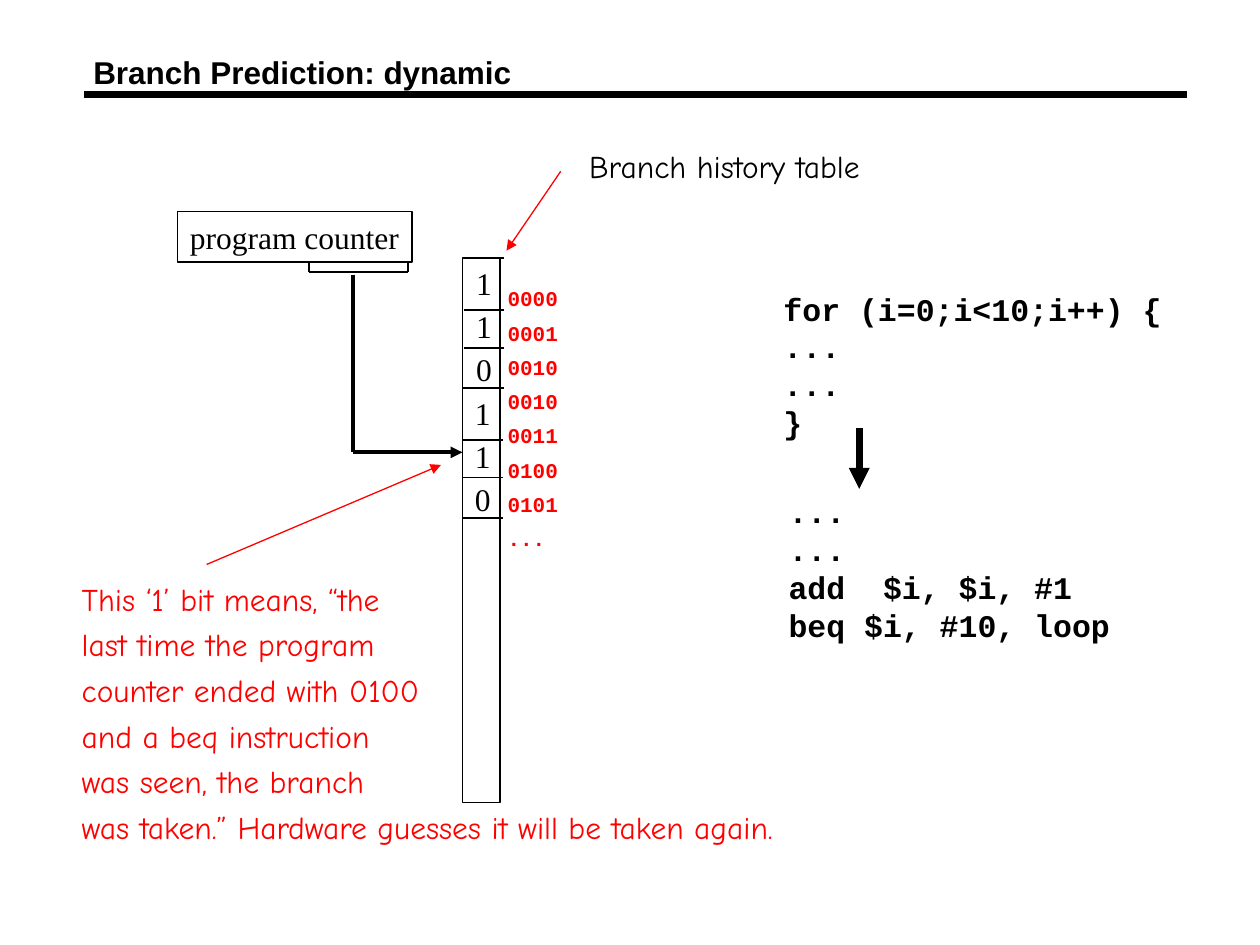
from lxml.etree import SubElement
from pptx import Presentation
from pptx.dml.color import RGBColor
from pptx.enum.shapes import MSO_CONNECTOR, MSO_SHAPE
from pptx.enum.text import MSO_ANCHOR, MSO_AUTO_SIZE, PP_ALIGN
from pptx.oxml.ns import qn
from pptx.util import Inches, Pt

COLORS = {"ink": "000000", "accent": "FF0000"}
SERIF, HAND, CODE = "Times New Roman", "Comic Neue", "Courier New"

prs = Presentation()
prs.slide_width, prs.slide_height = Inches(10), Inches(7.5)
slide = prs.slides.add_slide(prs.slide_layouts[5])


def write(shape, lines, font, size=18, color="ink", bold=False, before=0,
          spacing=1.0, align=PP_ALIGN.LEFT):
    """Fill a shape with one paragraph per line, all in the same format."""
    frame = shape.text_frame
    frame.text = "\n".join(lines)
    frame.word_wrap = False
    frame.auto_size = MSO_AUTO_SIZE.SHAPE_TO_FIT_TEXT
    frame.vertical_anchor = MSO_ANCHOR.TOP
    for paragraph in frame.paragraphs:
        paragraph.alignment = align
        paragraph.space_before = Pt(before)
        paragraph.line_spacing = spacing
        paragraph.font.name = font
        paragraph.font.size = Pt(size)
        paragraph.font.bold = bold
        paragraph.font.color.rgb = RGBColor.from_string(COLORS[color])


def draw_line(x1, y1, x2, y2, width=1, color="ink", arrow=False):
    line = slide.shapes.add_connector(
        MSO_CONNECTOR.STRAIGHT, Inches(x1), Inches(y1), Inches(x2), Inches(y2))
    line.line.width = Pt(width)
    line.line.color.rgb = RGBColor.from_string(COLORS[color])
    if arrow:
        SubElement(line.line._get_or_add_ln(), qn("a:tailEnd"), type="triangle")
    SubElement(line._element.spPr, qn("a:effectLst"))


# Title and rule; the title box is as wide as the rule, so it stays on one line
title = slide.shapes.title
title.left, title.top = Inches(0.67), Inches(0.39)
title.width, title.height = Inches(8.75), Inches(0.36)
write(title, ["Branch Prediction: dynamic"], "Arial", bold=True)
title.text_frame.word_wrap = True
title.text_frame.auto_size = MSO_AUTO_SIZE.NONE
title.text_frame.margin_left = title.text_frame.margin_right = Inches(0.07)
title.text_frame.margin_top = title.text_frame.margin_bottom = Inches(0.03)
draw_line(0.67, 0.75, 9.42, 0.75, 4.5)

# History table column and program counter
boxes = []
for left, top, width, height in [(3.67, 2.05, 0.3, 4.32), (1.41, 1.68, 1.86, 0.4)]:
    box = slide.shapes.add_shape(MSO_SHAPE.RECTANGLE, Inches(left), Inches(top),
                                 Inches(width), Inches(height))
    box.shadow.inherit = False
    box.fill.background()
    box.line.width = Pt(1)
    box.line.color.rgb = RGBColor.from_string(COLORS["ink"])
    boxes.append(box)
history_table, program_counter = boxes
write(program_counter, ["program counter"], SERIF)

# Two groups of three history bits, with the lines between them
for group_left, group_top in [(3.68, 2.05), (3.67, 3.08)]:
    for row, bit in enumerate("110"):
        cell = slide.shapes.add_textbox(
            Inches(group_left), Inches(group_top + row * 0.34), Inches(0.32), Inches(0.4))
        write(cell, [bit], SERIF)
    for offset in (0, 0.41, 0.71, 1.03):
        draw_line(group_left, group_top + offset, group_left + 0.32, group_top + offset)

# Bracket under the low bits of the counter, and the path to the table
for x in (2.45, 3.24):
    draw_line(x, 2.07, x, 2.16)
draw_line(2.45, 2.16, 3.24, 2.16)
draw_line(2.8, 2.18, 2.8, 3.59, 2.25)
draw_line(2.8, 3.59, 3.67, 3.59, 2.25, arrow=True)

# Loop source becomes assembly
draw_line(6.82, 3.4, 6.82, 3.88, 4, arrow=True)

# Callout arrows
draw_line(1.64, 4.48, 3.5, 3.69, 0.75, "accent", arrow=True)
draw_line(4.45, 1.36, 4.02, 1.99, 0.75, "accent", arrow=True)

code_style = dict(font=CODE, bold=True)
texts = [
    ((6.12, 2.25, 3.2, 1.3), ["for (i=0;i<10;i++) {", "...", "...", "}"], code_style),
    ((6.16, 3.86, 2.75, 1.3),
     ["...", "...", "add  $i, $i, #1", "beq $i, #10, loop"], code_style),
    ((3.93, 2.19, 0.6, 2.23),
     ["0000", "0001", "0010", "0010", "0011", "0100", "0101", "..."],
     dict(code_style, size=12, color="accent", before=3, spacing=1.15)),
    ((0.55, 4.55, 5.73, 2.22),
     ["This ‘1’ bit means, “the", "last time the program", "counter ended with 0100",
      "and a beq instruction", "was seen, the branch",
      "was taken.” Hardware guesses it will be taken again."],
     dict(font=HAND, color="accent", before=4.5)),
    ((4.57, 1.12, 2.36, 0.4), ["Branch history table"],
     dict(font=HAND, before=4.5, align=PP_ALIGN.CENTER)),
]
for place, lines, style in texts:
    write(slide.shapes.add_textbox(*map(Inches, place)), lines, **style)

prs.save("out.pptx")
